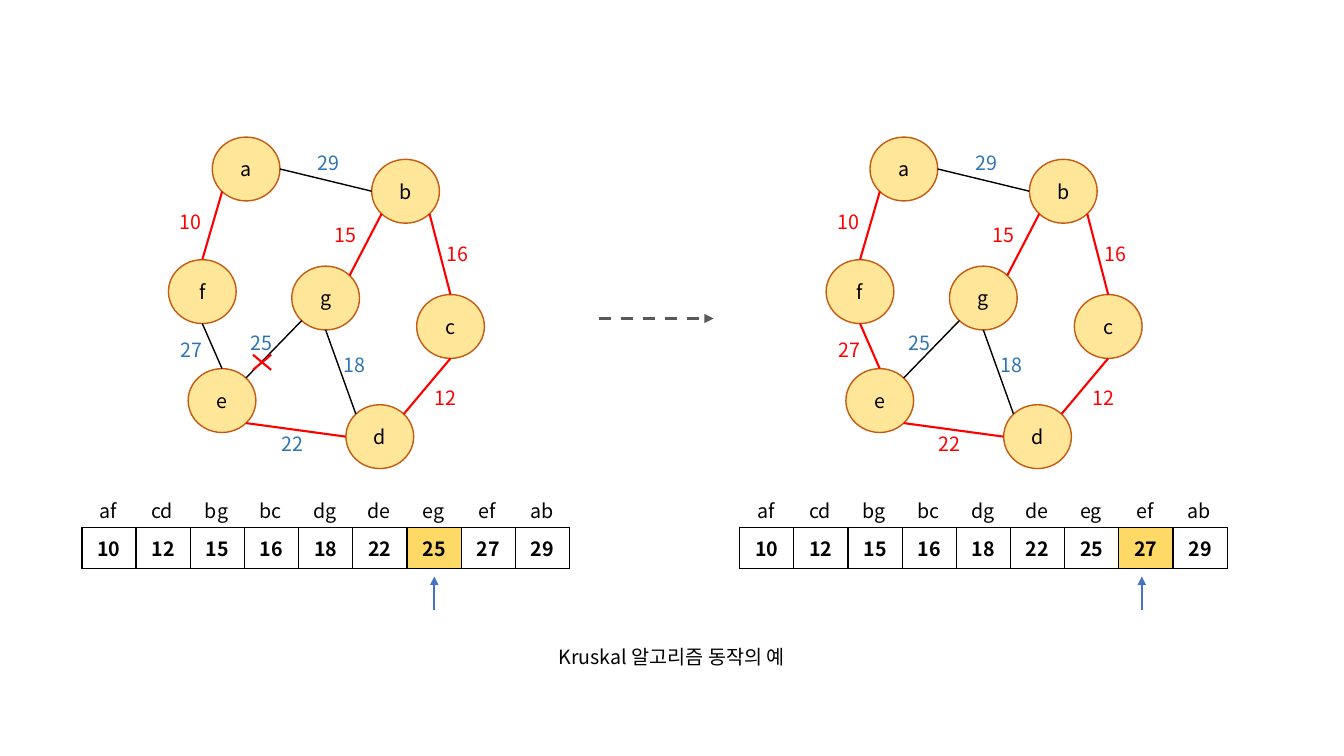
"""Build a slide with two steps of Kruskal's algorithm on a weighted graph."""
from lxml.etree import SubElement
from pptx import Presentation
from pptx.dml.color import RGBColor
from pptx.enum.dml import MSO_LINE
from pptx.enum.shapes import MSO_CONNECTOR, MSO_SHAPE
from pptx.enum.text import MSO_ANCHOR, MSO_AUTO_SIZE, PP_ALIGN
from pptx.oxml.ns import qn
from pptx.util import Pt

FONT = "Noto Sans CJK KR"
BLACK, RED, BLUE = "000000", "FF0000", "2E75B6"
WIDE, HIGH = 48.4, 45.6
COL, ROW = 38.72, 29.4
LEFT, TOP = 58.5, 376.6
DIAG = 0.707

nodes = {
    "a": (175.8, 120.7), "b": (289.7, 136.6), "c": (321.8, 233.2),
    "d": (271.3, 311.9), "e": (158.6, 286.1), "f": (144.5, 208.3),
    "g": (232.6, 212.9),
}
sites = {
    "N": (0, -1), "S": (0, 1), "W": (-1, 0), "E": (1, 0),
    "NE": (DIAG, -DIAG), "NW": (-DIAG, -DIAG),
    "SE": (DIAG, DIAG), "SW": (-DIAG, DIAG),
}
# Name, weight, site at each end, left and top of the weight
edges = [
    ("af", 10, "SW", "N", 116.8, 146.2),
    ("cd", 12, "S", "NE", 298.8, 272.2),
    ("bg", 15, "SW", "NE", 227.6, 155.6),
    ("bc", 16, "SE", "N", 307.5, 169.2),
    ("dg", 18, "NW", "S", 233.5, 248.4),
    ("de", 22, "W", "SE", 189.2, 305.3),
    ("eg", 25, "NE", "SW", 167.6, 232.6),
    ("ef", 27, "N", "S", 117.4, 237.6),
    ("ab", 29, "E", "W", 215.3, 104.4),
]
# Shift, chosen edges, red weights, current edge, pointer place
steps = [
    (0, "af cd bg bc de", "af cd bg bc", "eg", 310.2),
    (469.8, "af cd bg bc de ef", "af cd bg bc de ef", "ef", 815.6),
]

deck = Presentation()
deck.slide_width, deck.slide_height = Pt(960), Pt(540)
slide = deck.slides.add_slide(deck.slide_layouts[6])
shapes = slide.shapes


def write(frame, text, color=BLACK, bold=False):
    """Put one centred run into a text frame."""
    frame.word_wrap = True
    para = frame.paragraphs[0]
    para.alignment = PP_ALIGN.CENTER
    run = para.add_run()
    run.text = text
    font = run.font
    font.name, font.size, font.bold = FONT, Pt(14), bold
    font.color.rgb = RGBColor.from_string(color)
    SubElement(run._r.get_or_add_rPr(), qn("a:ea"), typeface=FONT)


def draw(start, end, color, width, dash=None, arrow=False):
    """Draw a straight line between two points."""
    link = shapes.add_connector(MSO_CONNECTOR.STRAIGHT, *map(Pt, start + end))
    link.line.color.rgb = RGBColor.from_string(color)
    link.line.width = Pt(width)
    if dash:
        link.line.dash_style = dash
    if arrow:
        SubElement(link.line._get_or_add_ln(), qn("a:tailEnd"), type="triangle")
    SubElement(link._element.spPr, qn("a:effectLst"))


labels = [("Kruskal 알고리즘 동작의 예", 310.3, 457.2, 339.1, BLACK)]
for shift, chosen, marked, current, point in steps:
    for name, (x, y) in nodes.items():
        node = shapes.add_shape(
            MSO_SHAPE.OVAL, Pt(x + shift - WIDE / 2), Pt(y - HIGH / 2),
            Pt(WIDE), Pt(HIGH))
        node.shadow.inherit = False
        node.fill.solid()
        node.fill.fore_color.rgb = RGBColor.from_string("FFE699")
        node.line.color.rgb = RGBColor.from_string("C55A11")
        node.line.width = Pt(1)
        node.text_frame.vertical_anchor = MSO_ANCHOR.MIDDLE
        write(node.text_frame, name)

    table = shapes.add_table(
        1, len(edges), Pt(LEFT + shift), Pt(TOP),
        Pt(COL * len(edges)), Pt(ROW)).table
    table.first_row = table.horz_banding = False

    for i, (name, weight, first, last, x, y) in enumerate(edges):
        ends = []
        for key, site in zip(name, (first, last)):
            (mid, row), (dx, dy) = nodes[key], sites[site]
            ends.append((mid + shift + dx * WIDE / 2, row + dy * HIGH / 2))
        if name in chosen.split():
            draw(*ends, RED, 1.5)
        else:
            draw(*ends, BLACK, 1)
        tint = RED if name in marked.split() else BLUE
        labels.append((str(weight), x + shift, y, 38.9, tint))
        labels.append((name, LEFT + shift + i * COL, 352.8, 37.4, BLACK))

        table.columns[i].width = Pt(COL)
        cell = table.cell(0, i)
        for side in ("lnL", "lnR", "lnT", "lnB"):
            edge = SubElement(cell._tc.get_or_add_tcPr(), qn("a:" + side),
                              w=str(Pt(1)))
            fill = SubElement(edge, qn("a:solidFill"))
            SubElement(fill, qn("a:srgbClr"), val=BLACK)
        cell.fill.solid()
        shade = "FFD966" if name == current else "FFFFFF"
        cell.fill.fore_color.rgb = RGBColor.from_string(shade)
        cell.vertical_anchor = MSO_ANCHOR.MIDDLE
        write(cell.text_frame, str(weight), bold=True)

    draw((point, 435.6), (point, 411.8), "4472C4", 1.5, arrow=True)

for text, x, y, width, color in labels:
    box = shapes.add_textbox(Pt(x), Pt(y), Pt(width), Pt(24.2))
    box.text_frame.auto_size = MSO_AUTO_SIZE.SHAPE_TO_FIT_TEXT
    write(box.text_frame, text, color)

draw((427.7, 227.5), (509.8, 227.5), "595959", 2.25, MSO_LINE.DASH, True)
draw((193.7, 264.2), (180.7, 253.4), RED, 1.5)
draw((193.7, 253.4), (180.7, 264.2), RED, 1.5)

deck.save("out.pptx")
